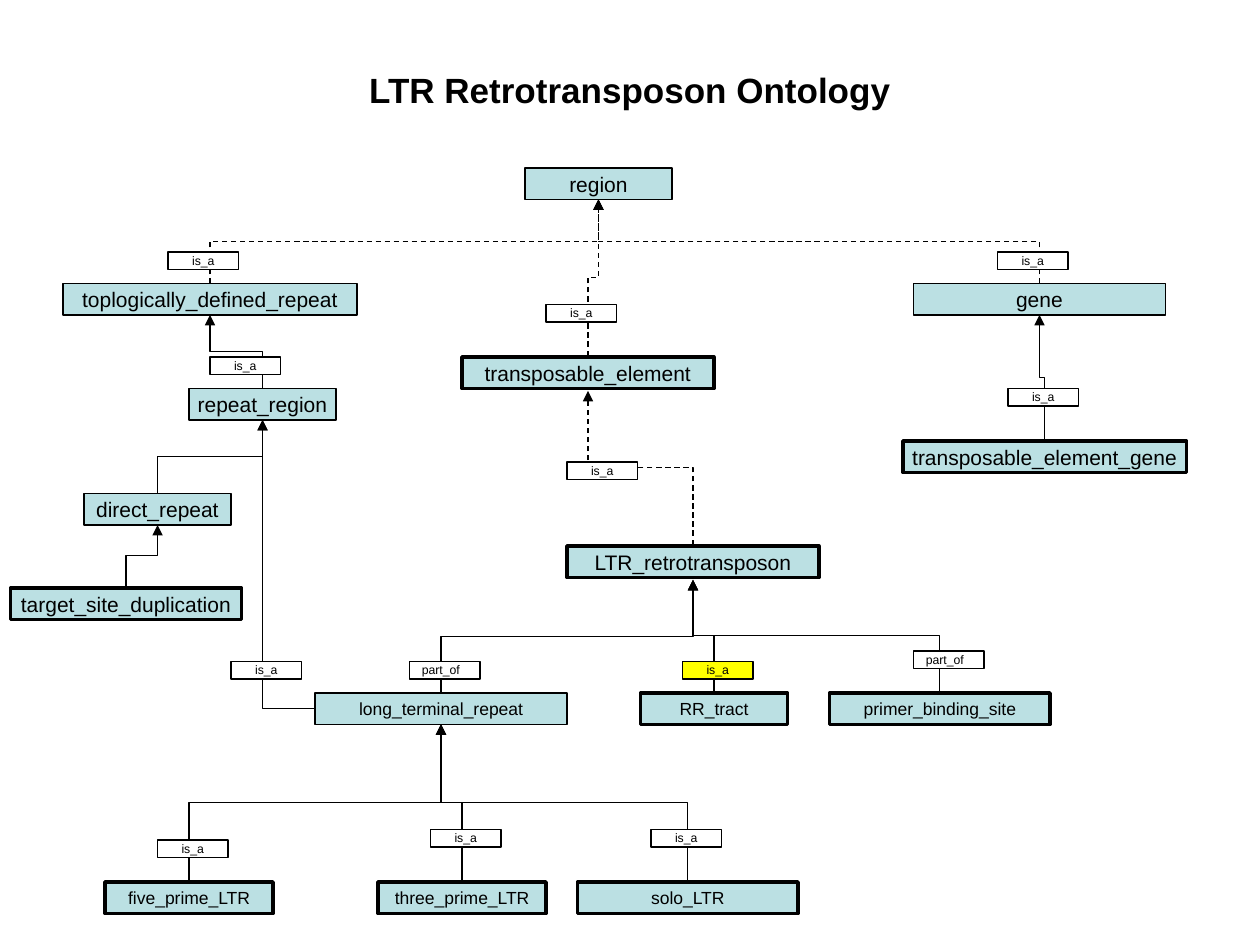
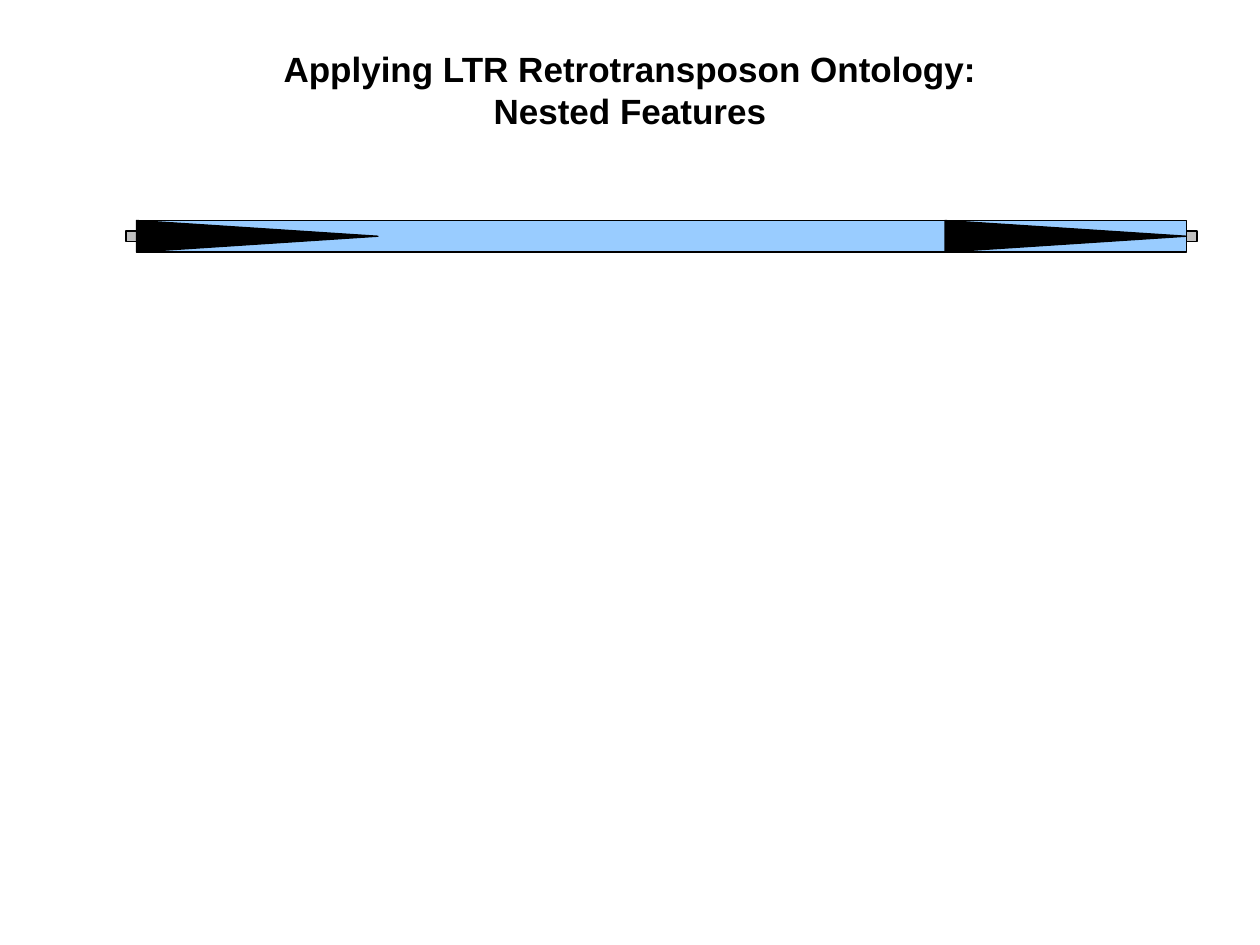
from pptx import Presentation
from pptx.dml.color import RGBColor
from pptx.enum.dml import MSO_LINE
from pptx.enum.shapes import MSO_CONNECTOR as Conn, MSO_SHAPE as Geom
from pptx.enum.text import MSO_ANCHOR as Anchor, MSO_AUTO_SIZE as Fit, PP_ALIGN as Align
from pptx.oxml.ns import qn
from pptx.oxml.xmlchemy import OxmlElement as Node
from pptx.util import Inches, Pt

# Shared style
FONT = "Arial"
BLACK, WHITE, YELLOW = "000000", "FFFFFF", "FFFF00"
TEAL, BLUE, GRAY = "BBE0E3", "99CCFF", "C0C0C0"
THIN, THICK = 0.75, 2
HIGH = 3  # height of a term box, in grid steps

# Terms: left, top, width in grid steps, text size, border
TERMS = {
    "region": (50, 16, 14, 12, THIN),
    "toplogically_defined_repeat": (6, 27, 28, 12, THIN),
    "gene": (87, 27, 24, 12, THIN),
    "transposable_element": (44, 34, 24, 12, THICK),
    "repeat_region": (18, 37, 14, 12, THIN),
    "transposable_element_gene": (86, 42, 27, 12, THICK),
    "direct_repeat": (8, 47, 14, 12, THIN),
    "LTR_retrotransposon": (54, 52, 24, 12, THICK),
    "target_site_duplication": (1, 56, 22, 12, THICK),
    "long_terminal_repeat": (30, 66, 24, 10, THIN),
    "RR_tract": (61, 66, 14, 10, THICK),
    "primer_binding_site": (79, 66, 21, 10, THICK),
    "five_prime_LTR": (10, 84, 16, 10, THICK),
    "three_prime_LTR": (36, 84, 16, 10, THICK),
    "solo_LTR": (55, 84, 21, 10, THICK),
}

# Parent: its children, dashed or not
LINKS = {
    "region": (("toplogically_defined_repeat", "gene", "transposable_element"), True),
    "transposable_element": (("LTR_retrotransposon",), True),
    "toplogically_defined_repeat": (("repeat_region",), False),
    "gene": (("transposable_element_gene",), False),
    "repeat_region": (("direct_repeat",), False),
    "direct_repeat": (("target_site_duplication",), False),
    "LTR_retrotransposon": (
        ("long_terminal_repeat", "RR_tract", "primer_binding_site"), False),
    "long_terminal_repeat": (
        ("five_prime_LTR", "three_prime_LTR", "solo_LTR"), False),
}

# Relation tags: left, top in grid steps
IS_A = [(16, 24), (95, 24), (52, 29), (20, 34), (96, 37), (54, 44),
        (22, 63), (62, 79), (41, 79), (15, 80)]
PART_OF = [(39, 63), (87, 62)]


def grid(num):
    """Twelfths of an inch."""
    return Inches(num / 12)


def color(code):
    return RGBColor.from_string(code)


def write(frame, text, size, bold=False, align=Align.CENTER):
    para = frame.paragraphs[0]
    para.alignment = align
    for num, part in enumerate(text.split("\n")):
        if num:
            para.add_line_break()
        run = para.add_run()
        run.text = part
        run.font.name = FONT
        run.font.size = Pt(size)
        run.font.bold = bold
        run.font.color.rgb = color(BLACK)


def title(slide, text):
    box = slide.shapes.add_textbox(grid(3), grid(4), grid(114), grid(9))
    frame = box.text_frame
    frame.word_wrap = True
    frame.vertical_anchor = Anchor.MIDDLE
    write(frame, text, 20, bold=True)


def block(slide, left, top, wide, high, fill, line=THIN, geom=Geom.RECTANGLE):
    shape = slide.shapes.add_shape(
        geom, grid(left), grid(top), grid(wide), grid(high))
    shape.shadow.inherit = False
    shape.fill.solid()
    shape.fill.fore_color.rgb = color(fill)
    shape.line.color.rgb = color(BLACK)
    shape.line.width = Pt(line)
    return shape


def term(slide, name):
    left, top, wide, size, line = TERMS[name]
    frame = block(slide, left, top, wide, HIGH, TEAL, line).text_frame
    frame.word_wrap = False
    frame.vertical_anchor = Anchor.MIDDLE
    write(frame, name, size)


def tag(slide, spot, text, fill=WHITE, align=Align.CENTER):
    shape = block(slide, *spot, 1, 1, fill)
    shape.width, shape.height = Inches(0.56), Inches(0.14)
    frame = shape.text_frame
    frame.word_wrap = True
    frame.auto_size = Fit.SHAPE_TO_FIT_TEXT
    frame.vertical_anchor = Anchor.TOP
    frame.margin_top = frame.margin_bottom = Inches(0.01)
    write(frame, text, 7, align=align)


def elbow(slide, left, top, wide, high, turn, flips=(), dash=False):
    """Bent arrow in an unrotated frame, then turned about its centre."""
    link = slide.shapes.add_connector(
        Conn.ELBOW, grid(left), grid(top), grid(left + wide), grid(top + high))
    link.line.color.rgb = color(BLACK)
    link.line.width = Pt(THIN)
    if dash:
        link.line.dash_style = MSO_LINE.DASH
    props = link.element.spPr
    frame = props.find(qn("a:xfrm"))
    frame.set("rot", str(turn * 60000))
    for flip in flips:
        frame.set(flip, "1")
    head = Node("a:tailEnd")
    head.set("type", "triangle")
    props.find(qn("a:ln")).append(head)
    props.append(Node("a:effectLst"))
    return link


def rise(slide, child, parent, dash):
    """Arrow from the top of a child to the foot of its parent."""
    left, top, wide, _, line = TERMS[child]
    x1, y1 = left + wide / 2, top - (0.12 if line == THICK else 0)
    left, top, wide, _, line = TERMS[parent]
    x2, y2 = left + wide / 2, top + HIGH + (0.24 if line == THICK else 0)
    run, climb = abs(x2 - x1), y1 - y2
    turn, flips = (90, ("flipH", "flipV")) if x2 > x1 else (270, ("flipV",))
    elbow(slide, (x1 + x2 - climb) / 2, (y1 + y2 - run) / 2,
          climb, run, turn, flips, dash)


def side(slide, child, parent):
    """Arrow from the left edge of a child, with a single bend."""
    left, top = TERMS[child][:2]
    over, base, wide = TERMS[parent][:3]
    x, y = over + wide / 2, base + HIGH
    link = elbow(slide, x, y, left - x, top + HIGH / 2 - y, 180)
    link.element.spPr.find(qn("a:prstGeom")).set("prst", "bentConnector2")


def tree(slide):
    title(slide, "LTR Retrotransposon Ontology")
    for name in TERMS:
        term(slide, name)
    for parent, (group, dash) in LINKS.items():
        for child in group:
            rise(slide, child, parent, dash)
    side(slide, "long_terminal_repeat", "repeat_region")
    for spot in IS_A:
        tag(slide, spot, "is_a")
    for spot in PART_OF:
        tag(slide, spot, "part_of", align=Align.LEFT)
    tag(slide, (65, 63), "is_a", YELLOW)


def nested(slide):
    title(slide, "Applying LTR Retrotransposon Ontology:\nNested Features")
    # Element body, then its two end sites and two repeats
    block(slide, 13, 21, 100, 3, BLUE)
    for left in (12, 113):
        block(slide, left, 22, 1, 1, GRAY)
    for left in (23, 100):
        block(slide, left, 11, 3, 23, BLACK,
              geom=Geom.ISOSCELES_TRIANGLE).rotation = 90


def main():
    deck = Presentation()
    deck.slide_width, deck.slide_height = Inches(10), Inches(7.5)
    for draw in (tree, nested):
        draw(deck.slides.add_slide(deck.slide_layouts[6]))
    deck.save("out.pptx")


if __name__ == "__main__":
    main()
